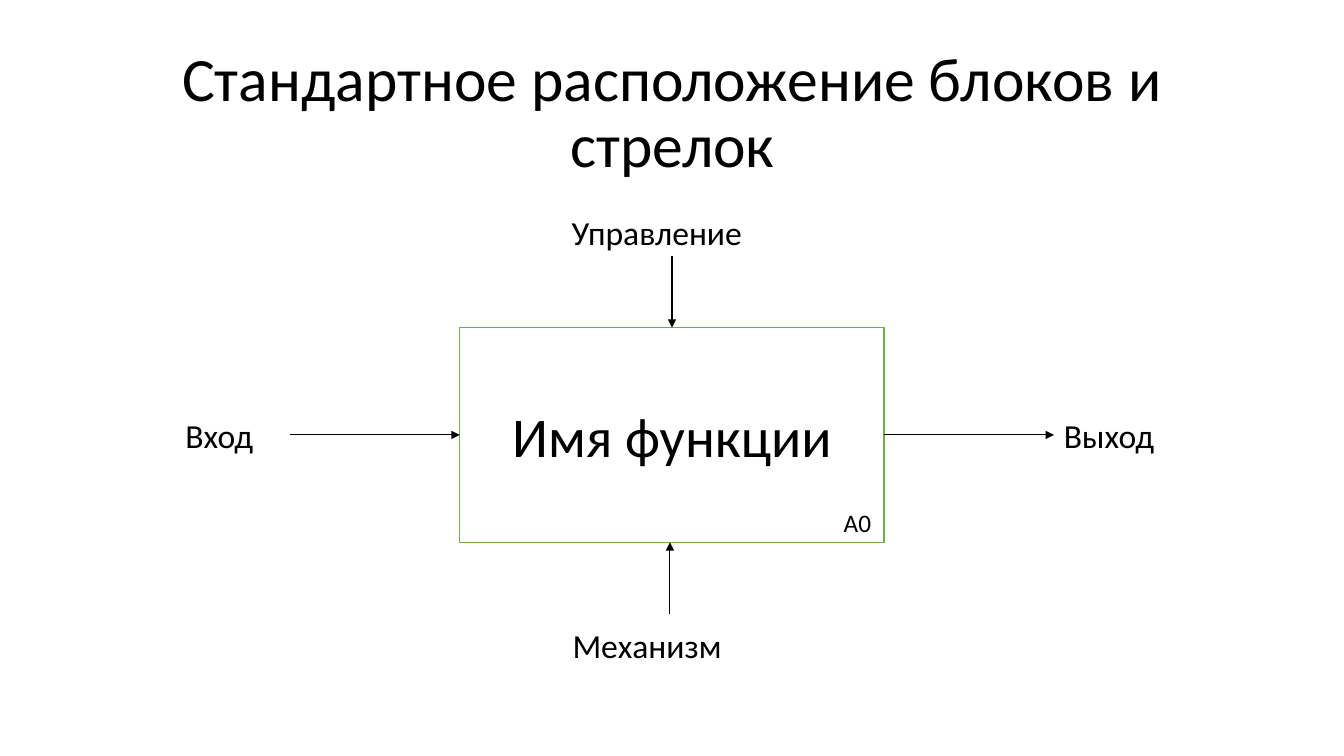
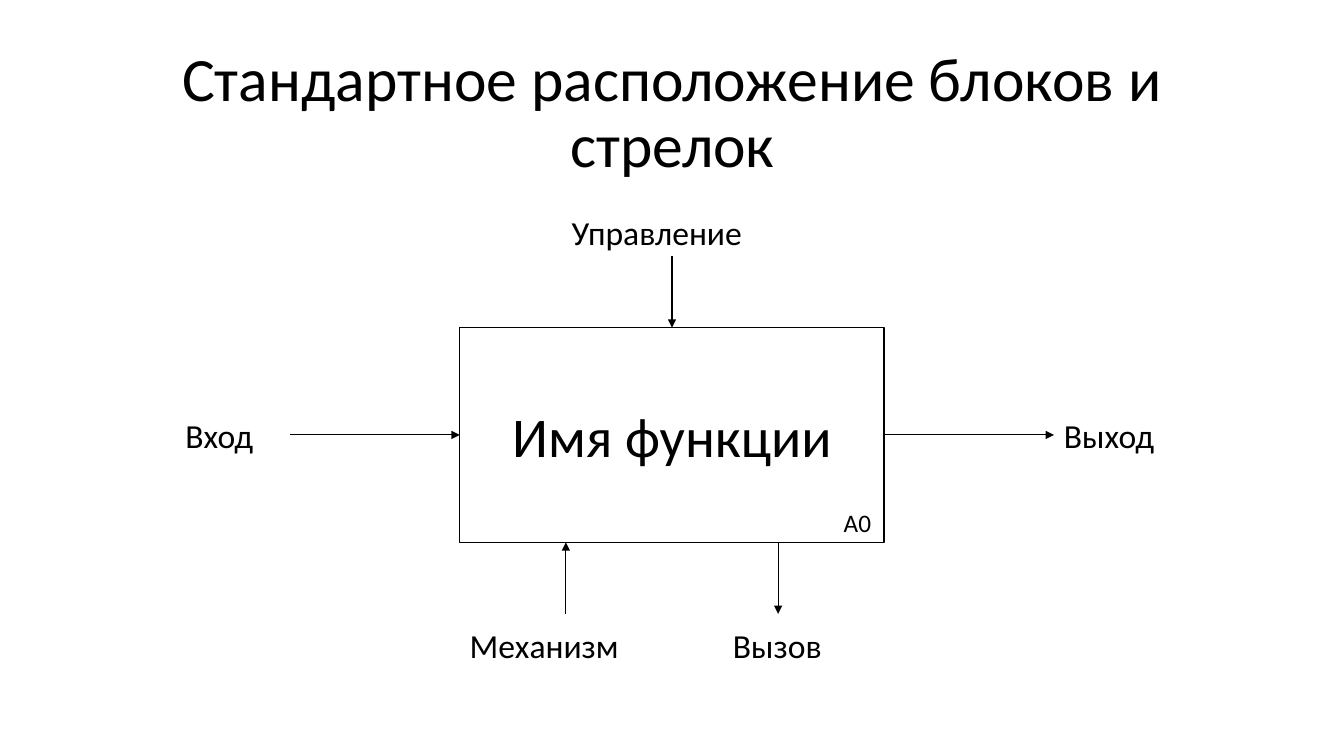
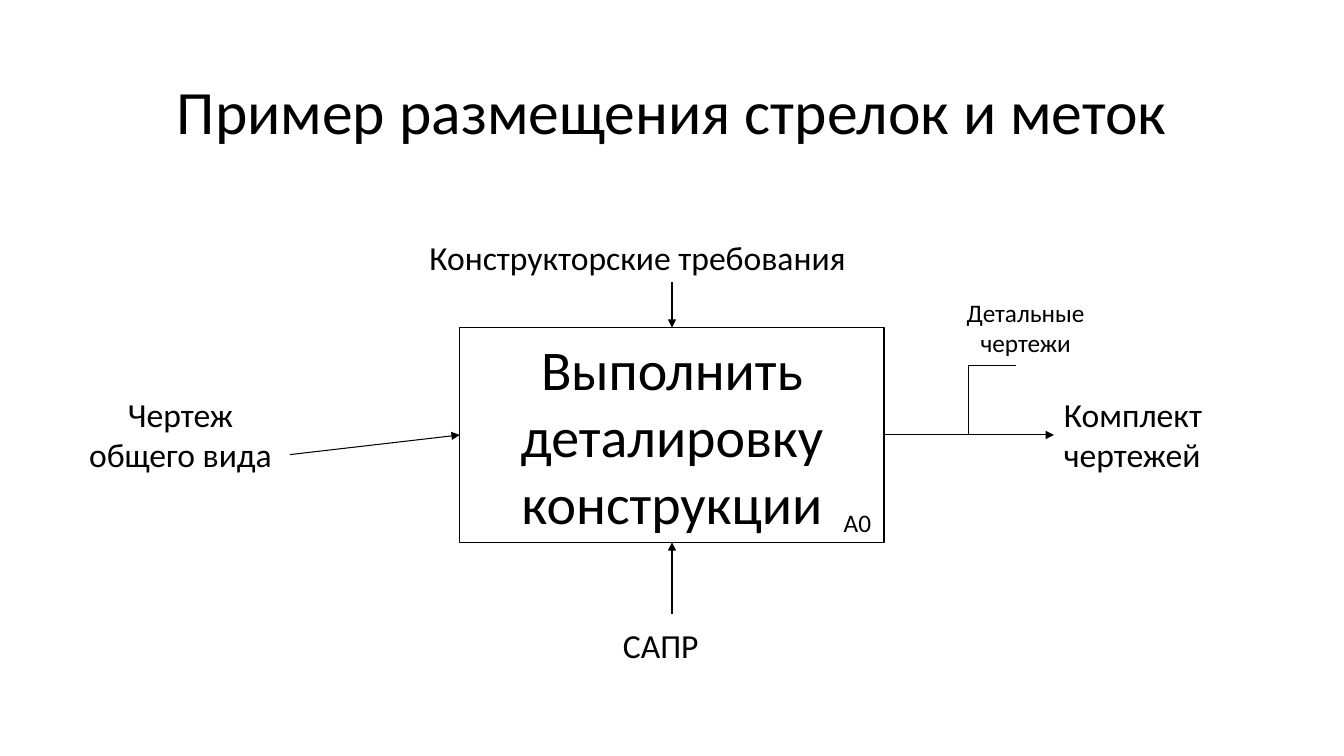
import itertools

import lxml.etree
import pptx
import pptx.dml.color
import pptx.enum.shapes
import pptx.enum.text
import pptx.oxml.ns
import pptx.util

# Shared look
FONT = "Calibri"
BLACK, WHITE, GREEN = "000000", "FFFFFF", "70AD47"
ALIGNMENTS = {
    "l": pptx.enum.text.PP_ALIGN.LEFT,
    "c": pptx.enum.text.PP_ALIGN.CENTER,
}
STRAIGHT = pptx.enum.shapes.MSO_CONNECTOR.STRAIGHT
ELBOW = pptx.enum.shapes.MSO_CONNECTOR.ELBOW

# Grid: the function block sits in the middle columns, arrows meet its edges
SLIDE_WIDTH, SLIDE_HEIGHT = 13.33, 7.5
BLOCK_WIDTH, BLOCK_HEIGHT = 4.21, 2.13
LEFT = (SLIDE_WIDTH - BLOCK_WIDTH) / 2
RIGHT = LEFT + BLOCK_WIDTH
CENTER = SLIDE_WIDTH / 2
TOP = 3.25
BOTTOM = TOP + BLOCK_HEIGHT
MIDDLE = TOP + BLOCK_HEIGHT / 2
ACROSS = BLOCK_WIDTH * 0.4
DOWN = BLOCK_HEIGHT / 3
QUARTER = BLOCK_WIDTH / 4
INPUT_START, OUTPUT_END = LEFT - ACROSS, RIGHT + ACROSS
LABEL_ROW = 6.15
LINE_HEIGHT = 0.5


def add_text(slide, text, left, top, width, height=LINE_HEIGHT, size=24, align="l",
             wrap=True, grow=True, middle=False, spacing=None, outline=None):
    """Text box, or an outlined rectangle; align holds one letter per paragraph, repeated."""
    box = [pptx.util.Inches(length) for length in (left, top, width, height)]
    if outline:
        shape = slide.shapes.add_shape(pptx.enum.shapes.MSO_SHAPE.RECTANGLE, *box)
        shape.shadow.inherit = False
        shape.fill.solid()
        shape.fill.fore_color.rgb = pptx.dml.color.RGBColor.from_string(WHITE)
        shape.line.color.rgb = pptx.dml.color.RGBColor.from_string(outline)
        shape.line.width = pptx.util.Pt(1)
    else:
        shape = slide.shapes.add_textbox(*box)
    frame = shape.text_frame
    frame.text = text
    frame.word_wrap = wrap
    if grow:
        frame.auto_size = pptx.enum.text.MSO_AUTO_SIZE.SHAPE_TO_FIT_TEXT
    anchor = pptx.enum.text.MSO_ANCHOR
    frame.vertical_anchor = anchor.MIDDLE if middle else anchor.TOP
    for paragraph, letter in zip(frame.paragraphs, itertools.cycle(align)):
        paragraph.alignment = ALIGNMENTS[letter]
        paragraph.line_spacing = spacing
        paragraph.font.name = FONT
        paragraph.font.size = pptx.util.Pt(size)
        paragraph.font.color.rgb = pptx.dml.color.RGBColor.from_string(BLACK)


def add_line(slide, start, end, kind=STRAIGHT, arrow=True):
    """Thin black connector, with an arrowhead at its end."""
    connector = slide.shapes.add_connector(
        kind, *[pptx.util.Inches(length) for length in (*start, *end)])
    connector.line.color.rgb = pptx.dml.color.RGBColor.from_string(BLACK)
    connector.line.width = pptx.util.Pt(0.75)
    properties = connector.element.spPr
    if arrow:
        outline = properties.find(pptx.oxml.ns.qn("a:ln"))
        lxml.etree.SubElement(outline, pptx.oxml.ns.qn("a:tailEnd"), type="triangle")
    lxml.etree.SubElement(properties, pptx.oxml.ns.qn("a:effectLst"))


# What differs between the slides
STANDARD_TITLE = "Стандартное расположение блоков и стрелок"
STANDARD_LABELS = [
    dict(text="Управление", left=5.57, top=2.05, width=2.19, wrap=False),
    dict(text="Вход", left=1.74, top=4.07, width=1.14),
    dict(text="Выход", left=OUTPUT_END, top=4.07, width=1.81),
]
diagrams = [
    dict(
        title=STANDARD_TITLE, function="Имя функции", outline=GREEN,
        control_top=TOP - DOWN, input_height=MIDDLE,
        mechanism=CENTER - 0.02, call=None,
        labels=STANDARD_LABELS + [
            dict(text="Механизм", left=5.58, top=LABEL_ROW, width=2.18),
        ],
    ),
    dict(
        title=STANDARD_TITLE, function="Имя функции", outline=BLACK,
        control_top=TOP - DOWN, input_height=MIDDLE,
        mechanism=LEFT + QUARTER, call=RIGHT - QUARTER,
        labels=STANDARD_LABELS + [
            dict(text="Механизм", left=LEFT, top=LABEL_ROW, width=2.18),
            dict(text="Вызов", left=7.06, top=LABEL_ROW, width=1.3, align="c"),
        ],
    ),
    dict(
        title="Пример размещения стрелок и меток",
        function="Выполнить деталировку конструкции", outline=BLACK,
        control_top=2.8, input_height=4.51,
        mechanism=CENTER, call=None,
        labels=[
            dict(text="Конструкторские требования", left=4.16, top=2.3, width=5.01,
                 wrap=False),
            dict(text="Чертеж общего вида", left=0.7, top=3.86, width=2.18, height=1.3,
                 align="c"),
            dict(text="Комплект чертежей", left=OUTPUT_END, top=3.86, width=1.96,
                 height=0.9),
            dict(text="САПР", left=6.08, top=LABEL_ROW, width=1.18),
            dict(text="Детальные\nчертежи", left=9.49, top=2.9, width=1.56, height=0.7,
                 size=18, align="lc", wrap=False),
        ],
    ),
]

presentation = pptx.Presentation()
presentation.slide_width = pptx.util.Inches(SLIDE_WIDTH)
presentation.slide_height = pptx.util.Inches(SLIDE_HEIGHT)

for diagram in diagrams:
    slide = presentation.slides.add_slide(presentation.slide_layouts[6])

    # Title and function block
    add_text(slide, diagram["title"], 0.92, 0.41, 11.5, 1.45, size=44, align="c",
             grow=False, middle=True, spacing=0.9)
    add_text(slide, diagram["function"], LEFT, TOP, BLOCK_WIDTH, BLOCK_HEIGHT, size=40,
             align="c", grow=False, middle=True, outline=diagram["outline"])
    add_text(slide, "А0", RIGHT - 0.5, BOTTOM - 0.4, 0.5, 0.4, size=18, wrap=False)

    # Control, input, output, mechanism and call arrows
    add_line(slide, (CENTER, diagram["control_top"]), (CENTER, TOP))
    add_line(slide, (INPUT_START, diagram["input_height"]), (LEFT, MIDDLE))
    add_line(slide, (RIGHT, MIDDLE), (OUTPUT_END, MIDDLE))
    add_line(slide, (diagram["mechanism"], BOTTOM + DOWN), (diagram["mechanism"], BOTTOM))
    if diagram["call"]:
        add_line(slide, (diagram["call"], BOTTOM), (diagram["call"], BOTTOM + DOWN))

    # Arrow labels
    for label in diagram["labels"]:
        add_text(slide, **label)

# Branch of the output arrow on the last slide
add_line(slide, (9.14, MIDDLE), (10.08, 3.63), kind=ELBOW, arrow=False)

presentation.save("out.pptx")
